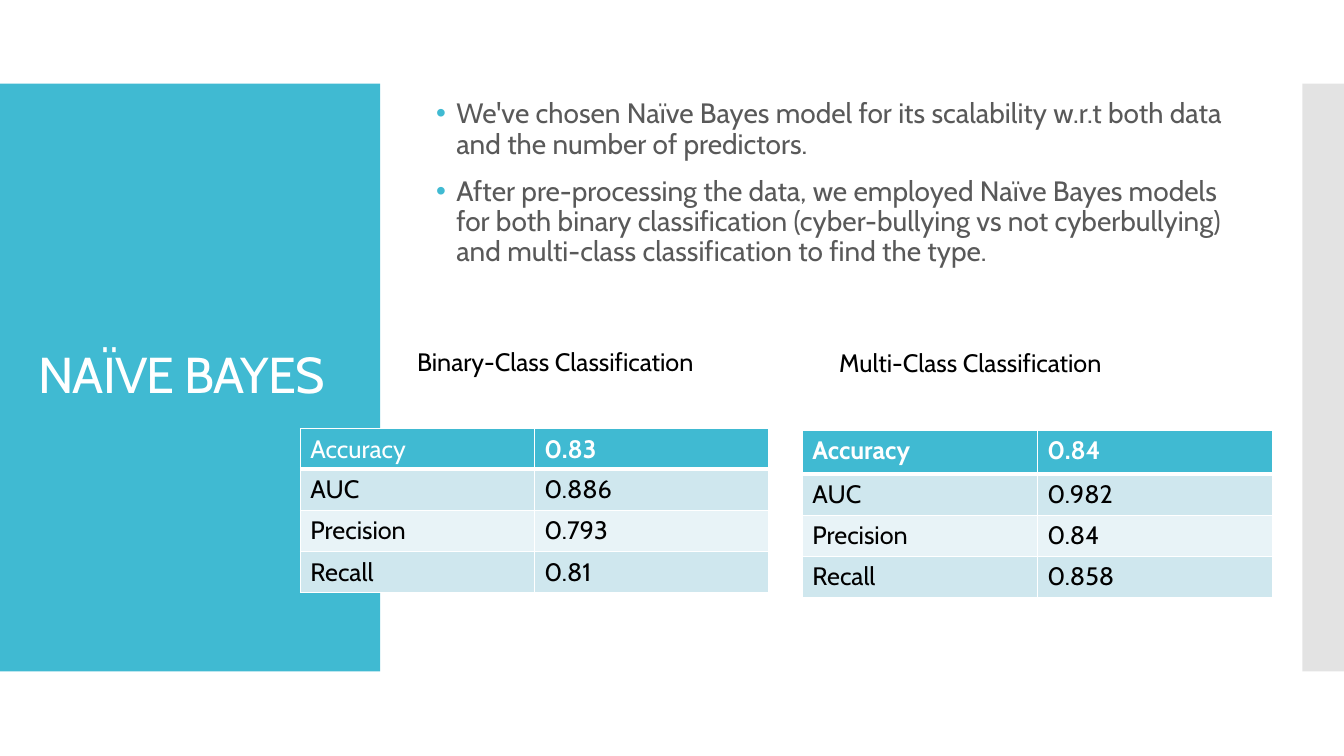
from dataclasses import dataclass

from lxml.etree import SubElement
from pptx import Presentation
from pptx.dml.color import RGBColor
from pptx.enum.shapes import MSO_SHAPE
from pptx.enum.text import MSO_ANCHOR, MSO_AUTO_SIZE, PP_ALIGN
from pptx.oxml.ns import qn
from pptx.util import Cm, Pt


@dataclass(frozen=True)
class Theme:
    font: str = "Cabin"
    accent: str = "40BAD2"
    strip: str = "C8C8C8"
    white: str = "FFFFFF"
    black: str = "000000"
    body: str = "595959"
    bands: tuple = ("CFE7EE", "E8F3F7")
    title_size: int = 36
    body_size: int = 20
    label_size: int = 18


THEME = Theme()
REASONS = (
    "We've chosen Naïve Bayes model for its scalability w.r.t both data "
    "and the number of predictors.",
    "After pre-processing the data, we employed Naïve Bayes models for both "
    "binary classification (cyber-bullying vs not cyberbullying) and "
    "multi-class classification to find the type.",
)
BINARY_SCORES = (("Accuracy", "0.83"), ("AUC", "0.886"),
                 ("Precision", "0.793"), ("Recall", "0.81"))
MULTI_SCORES = (("Accuracy", "0.84"), ("AUC", "0.982"),
                ("Precision", "0.84"), ("Recall", "0.858"))


def apply_format(target, values):
    for name, value in values.items():
        setattr(target, name, value)


def write(paragraph, text, size, color, bold=False):
    run = paragraph.add_run()
    run.text = text
    apply_format(run.font, {"name": THEME.font, "size": Pt(size), "bold": bold})
    run.font.color.rgb = RGBColor.from_string(color)
    return run


def add_panel(slide, box, color, opacity=100):
    """Place a plain rectangle behind the title."""
    panel = slide.shapes.add_shape(MSO_SHAPE.RECTANGLE, *map(Cm, box))
    panel.shadow.inherit = False
    panel.line.fill.background()
    panel.fill.solid()
    panel.fill.fore_color.rgb = RGBColor.from_string(color)
    if opacity < 100:
        tint = panel.element.spPr.find(".//" + qn("a:srgbClr"))
        SubElement(tint, qn("a:alpha"), val=str(opacity * 1000))
    slide.shapes.title.element.addprevious(panel.element)


def set_title(slide, box, text):
    title = slide.shapes.title
    apply_format(title, dict(zip(("left", "top", "width", "height"), map(Cm, box))))
    apply_format(title.text_frame, {
        "word_wrap": True,
        "auto_size": MSO_AUTO_SIZE.NONE,
        "vertical_anchor": MSO_ANCHOR.MIDDLE,
    })
    paragraph = title.text_frame.paragraphs[0]
    apply_format(paragraph, {"alignment": PP_ALIGN.LEFT, "line_spacing": 0.9})
    run = write(paragraph, text, THEME.title_size, THEME.white)
    run._r.get_or_add_rPr().set("spc", "-60")


def add_reasons(slide, box, reasons):
    frame = slide.shapes.add_textbox(*map(Cm, box)).text_frame
    frame.word_wrap = True
    for index, reason in enumerate(reasons):
        paragraph = frame.add_paragraph() if index else frame.paragraphs[0]
        properties = paragraph._p.get_or_add_pPr()
        properties.set("marL", str(Cm(0.51)))
        properties.set("indent", str(-Cm(0.51)))
        bullet_color = SubElement(properties, qn("a:buClr"))
        SubElement(bullet_color, qn("a:srgbClr"), val=THEME.accent)
        SubElement(properties, qn("a:buFont"), typeface="Arial")
        SubElement(properties, qn("a:buChar"), char="•")
        apply_format(paragraph, {
            "line_spacing": 0.9,
            "space_before": Pt(12 if index else 0),
        })
        write(paragraph, reason, THEME.body_size, THEME.body)


def add_caption(slide, box, text):
    frame = slide.shapes.add_textbox(*map(Cm, box)).text_frame
    apply_format(frame, {"word_wrap": True,
                         "auto_size": MSO_AUTO_SIZE.SHAPE_TO_FIT_TEXT})
    write(frame.paragraphs[0], text, THEME.label_size, THEME.black)


def set_borders(cell, widths):
    properties = cell._tc.get_or_add_tcPr()
    for side, width in zip("LRTB", widths):
        border = SubElement(properties, qn(f"a:ln{side}"), w=str(Pt(width)))
        fill = SubElement(border, qn("a:solidFill"))
        SubElement(fill, qn("a:srgbClr"), val=THEME.white)


def add_scores(slide, box, scores, header_height, bold_columns):
    """Place a score table whose first row is the header."""
    row_height = Cm(1.04)
    table = slide.shapes.add_table(len(scores), 2, *map(Cm, box)).table
    apply_format(table, {"first_row": False, "horz_banding": False})
    for row_index, score in enumerate(scores):
        is_header = row_index == 0
        table.rows[row_index].height = Cm(header_height) if is_header else row_height
        fill = THEME.accent if is_header else THEME.bands[(row_index - 1) % 2]
        ink = THEME.white if is_header else THEME.black
        widths = (1, 1, 3 if row_index == 1 else 1, 3 if is_header else 1)
        for column, text in enumerate(score):
            cell = table.cell(row_index, column)
            set_borders(cell, widths)
            cell.fill.solid()
            cell.fill.fore_color.rgb = RGBColor.from_string(fill)
            write(cell.text_frame.paragraphs[0], text, THEME.label_size, ink,
                  is_header and column in bold_columns)


def build_model_slide(presentation):
    slide = presentation.slides.add_slide(presentation.slide_layouts[5])
    add_panel(slide, (0, 2.11, 9.58, 14.81), THEME.accent)
    add_panel(slide, (32.82, 2.11, 1.05, 14.81), THEME.strip, opacity=50)
    set_title(slide, (0.71, 3.12, 8.18, 12.78), "NAÏVE BAYES")
    add_reasons(slide, (10.74, 2.39, 20.32, 14.22), REASONS)
    add_caption(slide, (20.9, 8.64, 13.92, 4.11), "Multi-Class Classification")
    add_caption(slide, (10.26, 8.61, 13.67, 2.57), "Binary-Class Classification")
    add_scores(slide, (7.57, 10.8, 11.79, 4.14), BINARY_SCORES, 1.02, (1,))
    add_scores(slide, (20.22, 10.85, 11.84, 4.21), MULTI_SCORES, 1.09, (0, 1))


def main():
    presentation = Presentation()
    apply_format(presentation, {"slide_width": Cm(33.87), "slide_height": Cm(19.05)})
    build_model_slide(presentation)
    presentation.save("out.pptx")


if __name__ == "__main__":
    main()
